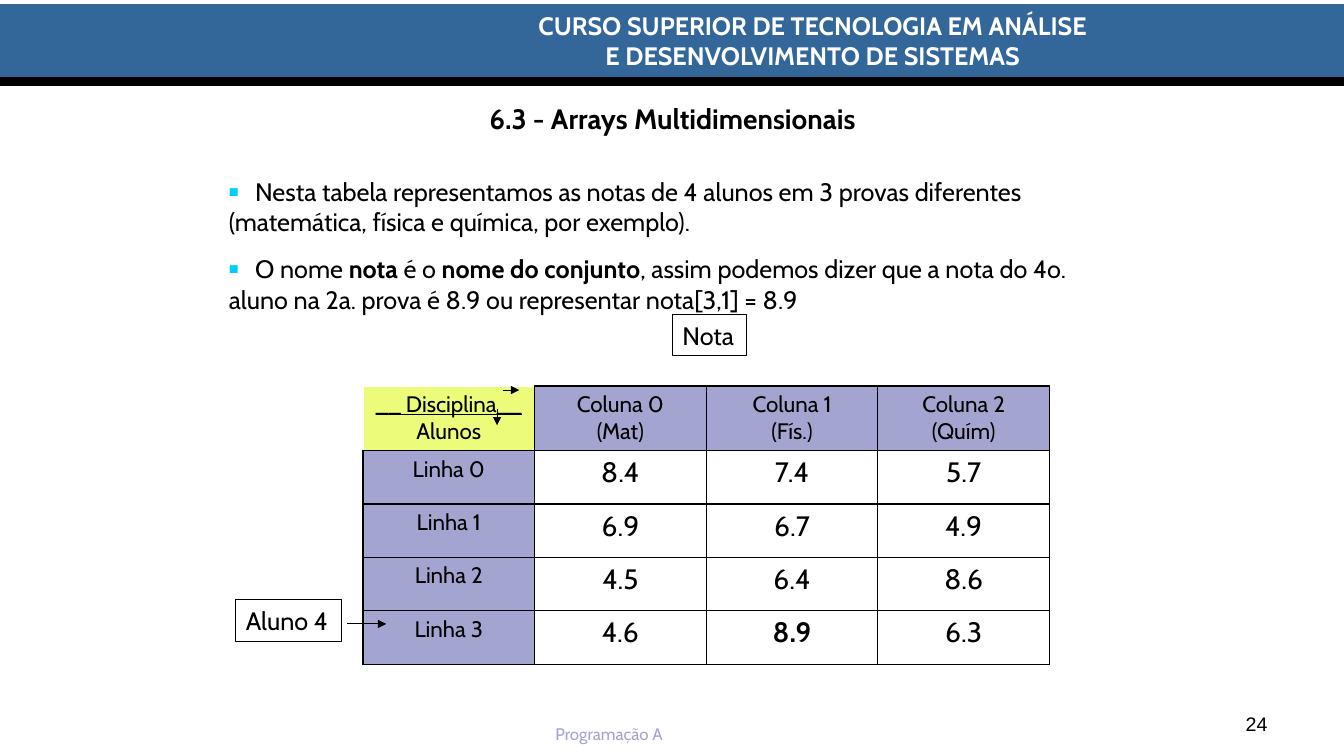
from lxml import etree
from pptx import Presentation
from pptx import util as u
from pptx.dml.color import RGBColor
from pptx.enum import shapes, text
from pptx.oxml.ns import qn

W, H = 13.33, 7.5
FONT = "Cabin"
BLACK, WHITE, BLUE = "000000", "FFFFFF", "336699"
LILAC, LIME, CYAN = "A4A4D0", "ECFB79", "00CCFF"
CENTER, RIGHT = text.PP_ALIGN.CENTER, text.PP_ALIGN.RIGHT
TOP, MIDDLE, BOTTOM = (text.MSO_ANCHOR.TOP, text.MSO_ANCHOR.MIDDLE,
                       text.MSO_ANCHOR.BOTTOM)

SUBJECTS = ["Coluna 0\n(Mat)", "Coluna 1\n(Fís.)", "Coluna 2\n(Quím)"]
GRADES = [["8.4", "7.4", "5.7"], ["6.9", "6.7", "4.9"],
          ["4.5", "6.4", "8.6"], ["4.6", "8.9", "6.3"]]
BULLETS = [
    [("\tNesta tabela representamos as notas de 4 alunos em 3 provas diferentes "
      "(matemática, física e química, por exemplo).", False)],
    [("\tO nome ", False), ("nota", True), (" é o ", False),
     ("nome do conjunto", True),
     (", assim podemos dizer que a nota do 4o. aluno na 2a. prova é 8.9 "
      "ou representar nota[3,1] = 8.9", False)],
]


def color(value):
    return RGBColor.from_string(value)


def inches(*lengths):
    return [u.Inches(n) for n in lengths]


def add_run(p, content, size=18, hue=BLACK, bold=False, font=FONT, underline=False):
    r = p.add_run()
    r.text = content
    r.font.size, r.font.name = u.Pt(size), font
    r.font.bold, r.font.underline = bold, underline
    r.font.color.rgb = color(hue)


def write(tf, content, align=text.PP_ALIGN.LEFT, anchor=None, wrap=None, **fmt):
    """Write one paragraph per line of content."""
    for i, line in enumerate(content.split("\n")):
        p = tf.add_paragraph() if i else tf.paragraphs[0]
        p.alignment = align
        add_run(p, line, **fmt)
    if anchor is not None:
        tf.vertical_anchor = anchor
    if wrap is not None:
        tf.word_wrap = wrap


def add_text(s, box, content, wrap=True, **fmt):
    tb = s.shapes.add_textbox(*inches(*box))
    write(tb.text_frame, content, wrap=wrap, **fmt)


def add_rect(s, box, fill=None, line=None):
    sp = s.shapes.add_shape(shapes.MSO_SHAPE.RECTANGLE, *inches(*box))
    sp.shadow.inherit = False
    if fill:
        sp.fill.solid()
        sp.fill.fore_color.rgb = color(fill)
    else:
        sp.fill.background()
    if line:
        sp.line.color.rgb, sp.line.width = color(line), u.Pt(0.75)
    else:
        sp.line.fill.background()
    return sp


def add_line(s, x1, y1, x2, y2, width=0.75, arrow=True):
    cn = s.shapes.add_connector(shapes.MSO_CONNECTOR.STRAIGHT,
                                *inches(x1, y1, x2, y2))
    cn.line.color.rgb, cn.line.width = color(BLACK), u.Pt(width)
    if arrow:
        ln = cn.line._get_or_add_ln()
        etree.SubElement(ln, qn("a:tailEnd"), type="triangle")
    etree.SubElement(cn._element.spPr, qn("a:effectLst"))


def place(sp, box):
    sp.left, sp.top, sp.width, sp.height = inches(*box)


# Blue band with the course name
def header(s, box):
    x, y, w, h = box
    add_rect(s, box, fill=BLUE)
    add_text(s, (x + 2.89, y + 0.01, w - 2.99, 0.71),
             "CURSO SUPERIOR DE TECNOLOGIA EM ANÁLISE\n"
             "E DESENVOLVIMENTO DE SISTEMAS",
             align=CENTER, hue=WHITE, bold=True)
    add_line(s, x, y + h - 0.02, x + w, y + h - 0.02, width=6, arrow=False)


# Subject name and page number
def footer(s, box):
    x, y, w, h = box
    add_text(s, (x + 5.41, y + 0.3, 1.33, 0.3), "Programação A",
             wrap=False, size=12, hue=LILAC)
    add_text(s, (x + w - 3.77, y, 3.11, h - 0.15), "24", align=RIGHT,
             anchor=BOTTOM, size=14, font="Arial")


def title(s, box):
    place(s.shapes.title, box)
    write(s.shapes.title.text_frame, "6.3 - Arrays Multidimensionais",
          align=CENTER, anchor=MIDDLE, size=20, bold=True)


# Square bullets whose first line starts at a tab stop
def add_bullet(p):
    pPr = p._p.get_or_add_pPr()
    pPr.set("marL", "0")
    pPr.set("indent", "0")
    clr = etree.SubElement(pPr, qn("a:buClr"))
    etree.SubElement(clr, qn("a:srgbClr"), val=CYAN)
    etree.SubElement(pPr, qn("a:buSzPct"), val="65000")
    etree.SubElement(pPr, qn("a:buFont"), typeface="Arial")
    etree.SubElement(pPr, qn("a:buChar"), char="■")
    tabs = etree.SubElement(pPr, qn("a:tabLst"))
    etree.SubElement(tabs, qn("a:tab"), pos=str(u.Inches(0.26)), algn="l")


def body(s, box):
    sp = s.placeholders[1]
    place(sp, box)
    tf = sp.text_frame
    tf.vertical_anchor = TOP
    for i, parts in enumerate(BULLETS):
        p = tf.add_paragraph() if i else tf.paragraphs[0]
        add_bullet(p)
        p.space_before, p.space_after = u.Pt(0), u.Pt(12)
        for content, bold in parts:
            add_run(p, content, bold=bold)


def set_borders(cell, sides):
    tcPr = cell._tc.get_or_add_tcPr()
    for i, side in enumerate(sides):
        ln = etree.Element(qn("a:ln" + side), w=str(u.Pt(1)))
        fill = etree.SubElement(ln, qn("a:solidFill"))
        etree.SubElement(fill, qn("a:srgbClr"), val=BLACK)
        tcPr.insert(i, ln)


def fill_cell(cell, content, fill=None, sides="LRTB", **fmt):
    if fill:
        cell.fill.solid()
        cell.fill.fore_color.rgb = color(fill)
    else:
        cell.fill.background()
    set_borders(cell, sides)
    write(cell.text_frame, content, align=CENTER, **fmt)


# Grades by student and subject
def grades_table(s, box):
    rows, cols = len(GRADES) + 1, len(SUBJECTS) + 1
    table = s.shapes.add_table(rows, cols, *inches(*box)).table
    table.first_row = table.horz_banding = False
    head = 0.64
    for i, row in enumerate(table.rows):
        row.height = u.Inches((box[3] - head) / (rows - 1) if i else head)
    corner = table.cell(0, 0)
    fill_cell(corner, "__ Disciplina__", LIME, "RB", size=16, underline=True)
    p = corner.text_frame.add_paragraph()
    p.alignment = CENTER
    add_run(p, "Alunos", size=16)
    for c, subject in enumerate(SUBJECTS, 1):
        fill_cell(table.cell(0, c), subject, LILAC, size=16)
    for r, grades in enumerate(GRADES, 1):
        fill_cell(table.cell(r, 0), f"Linha {r - 1}", LILAC, size=16)
        for c, grade in enumerate(grades, 1):
            fill_cell(table.cell(r, c), grade, size=20, bold=grade == "8.9")


# Labels and arrows around the table
def table_labels(s, box):
    x, y = box[:2]
    for dx, dy, w, label in [(3.07, -0.71, 0.73, "Nota"),
                             (-1.26, 2.12, 1.05, "Aluno 4")]:
        sp = add_rect(s, (x + dx, y + dy, w, 0.41), line=BLACK)
        write(sp.text_frame, label, wrap=False)
    for x1, y1, x2, y2 in [(1.33, 0.23, 1.33, 0.39), (1.39, 0.04, 1.55, 0.04),
                           (-0.16, 2.36, 0.23, 2.36)]:
        add_line(s, x + x1, y + y1, x + x2, y + y2)


def main():
    prs = Presentation()
    prs.slide_width, prs.slide_height = inches(W, H)
    s = prs.slides.add_slide(prs.slide_layouts[1])
    table_box = (3.6, 3.83, 6.81, 2.76)
    header(s, (0, 0.04, W, 0.79))
    title(s, (0.67, 0.42, 12, 1.5))
    body(s, (2.17, 1.7, 8.91, 5.04))
    grades_table(s, table_box)
    table_labels(s, table_box)
    footer(s, (0, 6.83, W, H - 6.83))
    prs.save("out.pptx")


if __name__ == "__main__":
    main()
